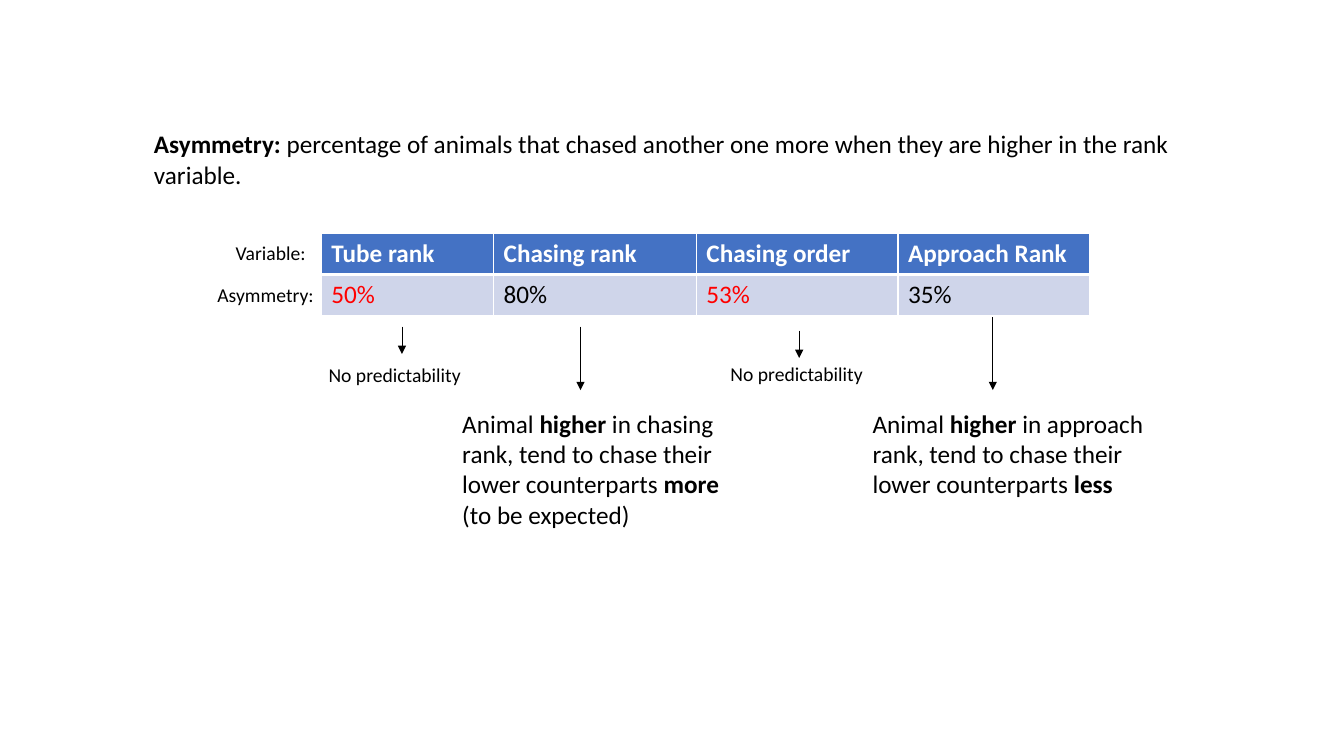
from lxml.etree import SubElement
from pptx import Presentation
from pptx.dml.color import RGBColor
from pptx.enum.shapes import MSO_CONNECTOR
from pptx.enum.text import MSO_AUTO_SIZE
from pptx.oxml.ns import qn
from pptx.util import Cm, Pt

COLORS = {
    "black": "000000",
    "white": "FFFFFF",
    "red": "FF0000",
    "header": "4472C4",
    "body": "CFD5EA",
}


def write(tf, text, size=18, color="black", bold=False):
    p = tf.paragraphs[0]
    for i, part in enumerate(text.split("**")):
        if part:
            r = p.add_run()
            r.text = part
            r.font.name = "Calibri"
            r.font.size = Pt(size)
            r.font.bold = bold or i % 2 == 1
            r.font.color.rgb = RGBColor.from_string(COLORS[color])


def add_border(cell, side, width):
    ln = SubElement(cell._tc.get_or_add_tcPr(), qn(f"a:{side}"), w=str(Pt(width)))
    fill = SubElement(ln, qn("a:solidFill"))
    SubElement(fill, qn("a:srgbClr"), val=COLORS["white"])


prs = Presentation()
prs.slide_width, prs.slide_height = Cm(33.87), Cm(19.05)
s = prs.slides.add_slide(prs.slide_layouts[6])

columns = [
    ("Tube rank", "50%", "red", 4.34),
    ("Chasing rank", "80%", "black", 5.11),
    ("Chasing order", "53%", "red", 5.08),
    ("Approach Rank", "35%", "black", 4.84),
]
table = s.shapes.add_table(2, 4, Cm(8.1), Cm(5.89), Cm(19.37), Cm(2.06)).table
for col, (variable, asymmetry, color, width) in enumerate(columns):
    table.columns[col].width = Cm(width)
    rows = [
        (variable, "white", True, "header", 1, 3),
        (asymmetry, color, False, "body", 3, 1),
    ]
    for row, (text, font_color, bold, fill, top, bottom) in enumerate(rows):
        cell = table.cell(row, col)
        for side, line_width in (("lnL", 1), ("lnR", 1), ("lnT", top), ("lnB", bottom)):
            add_border(cell, side, line_width)
        cell.fill.solid()
        cell.fill.fore_color.rgb = RGBColor.from_string(COLORS[fill])
        write(cell.text_frame, text, color=font_color, bold=bold)

texts = [
    ("Variable:", 14, 5.69, 5.94, 2.82, 0.86),
    ("Asymmetry:", 14, 5.23, 7.01, 3.25, 0.86),
    ("**Asymmetry: **percentage of animals that chased another one more "
     "when they are higher in the rank variable.", 18, 3.63, 3.12, 26.97, 1.8),
    ("No predictability", 14, 8.03, 9.02, 3.99, 0.86),
    ("No predictability", 14, 18.16, 8.99, 3.99, 0.86),
    ("Animal **higher** in chasing rank, tend to chase their lower "
     "counterparts **more** (to be expected)", 18, 11.4, 10.16, 7.7, 3.33),
    ("Animal **higher** in approach rank, tend to chase their lower "
     "counterparts **less**", 18, 21.74, 10.16, 7.7, 2.57),
]
for text, size, left, top, width, height in texts:
    tf = s.shapes.add_textbox(Cm(left), Cm(top), Cm(width), Cm(height)).text_frame
    tf.word_wrap = True
    tf.auto_size = MSO_AUTO_SIZE.SHAPE_TO_FIT_TEXT
    write(tf, text, size=size)

arrows = [
    (10.13, 8.23, 8.92),
    (14.63, 8.23, 9.83),
    (20.14, 8.33, 9.02),
    (25.02, 8.0, 9.83),
]
for x, top, bottom in arrows:
    arrow = s.shapes.add_connector(MSO_CONNECTOR.STRAIGHT, Cm(x), Cm(top), Cm(x), Cm(bottom))
    arrow.line.width = Pt(0.5)
    arrow.line.color.rgb = RGBColor.from_string(COLORS["black"])
    SubElement(arrow.line._get_or_add_ln(), qn("a:tailEnd"), type="triangle")
    SubElement(arrow._element.spPr, qn("a:effectLst"))

prs.save("out.pptx")
